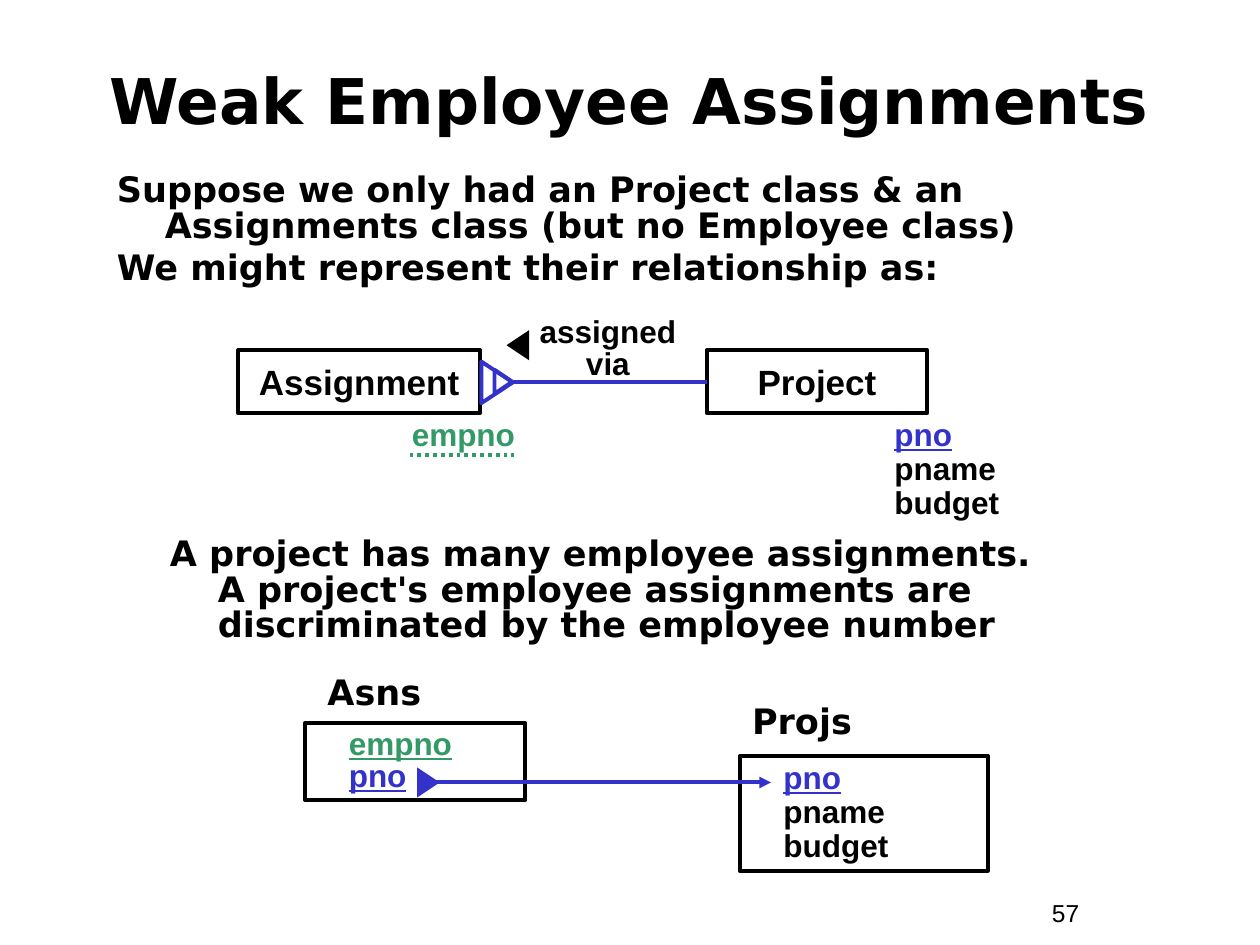
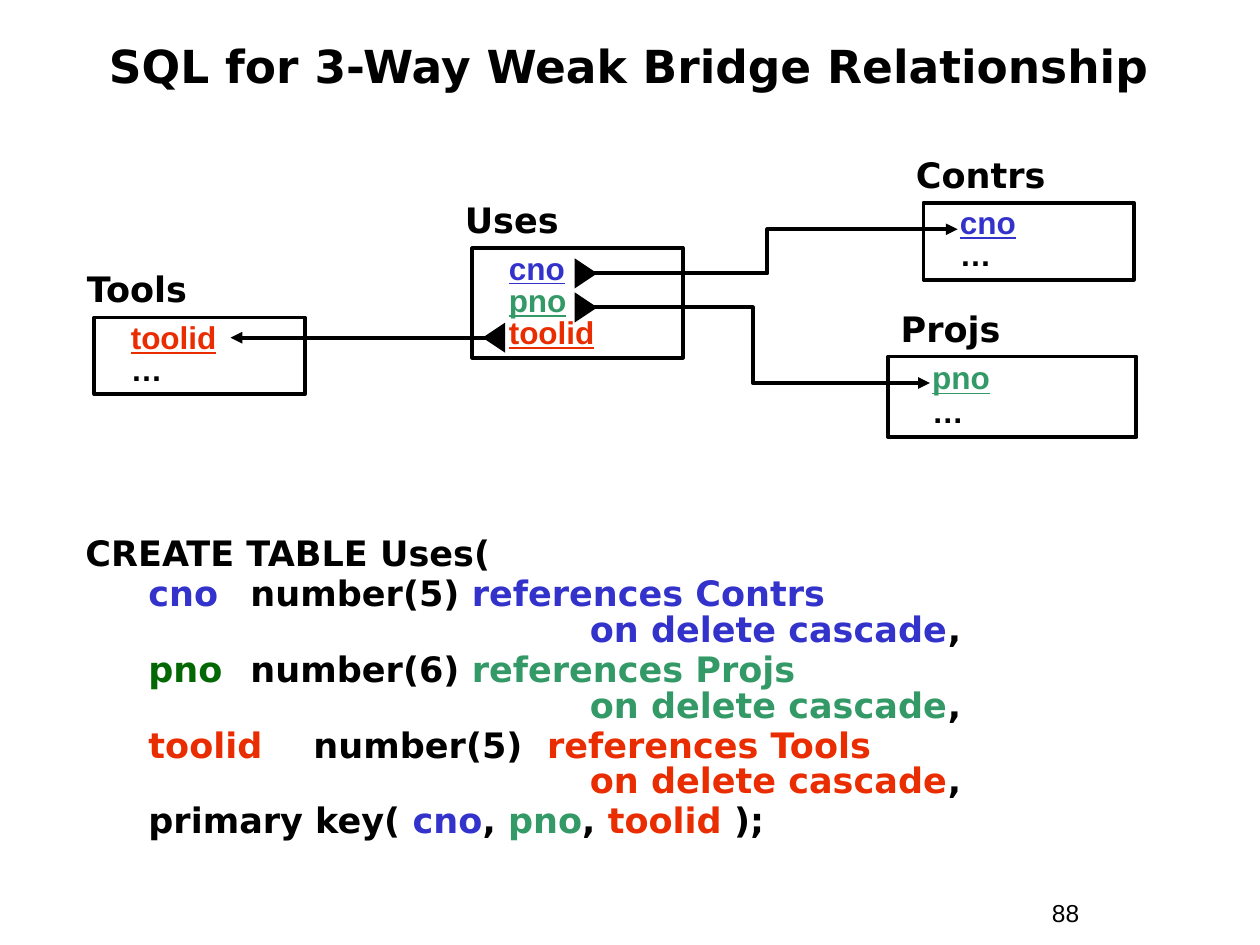
from lxml import etree
from pptx import Presentation
from pptx.dml.color import RGBColor
from pptx.enum import dml, shapes, text
from pptx.oxml.ns import qn
from pptx.util import Inches, Pt


class Theme:
    colors = {"ink": "000000", "blue": "3333CC", "green": "339966",
              "dark": "036703", "red": "EA2D00"}
    line = 2.25
    title = dict(name="DejaVu Sans", size=Pt(36), bold=True)
    small = {**title, "size": Pt(26)}
    note = {**title, "size": Pt(20)}
    node = {**note, "name": "Arial"}
    field = {**node, "size": Pt(18)}
    foot = dict(name="Arial", size=Pt(14), bold=False)


MID = dict(alignment=text.PP_ALIGN.CENTER)
TIGHT, LOOSE = dict(line_spacing=0.85), dict(line_spacing=0.9)
HANG = (0.38, -0.38)
PROJ = [("pno", "blue"), ("pname", "ink"), ("budget", "ink")]

INTRO = ["Suppose we only had an Project class & an "
         "Assignments class (but no Employee class)",
         "We might represent their relationship as:"]
CLAIM = ("A project has many employee assignments.\nA project's employee "
         "assignments are discriminated by the employee number")

# label place, box place, name, fields, field indent, field spacing
WEAK = [
    ((2.5, 5.27, 2.51, 0.44), (2.42, 5.74, 1.75, 0.61), "Asns",
     [("empno", "green"), ("pno", "blue")], 0.25, TIGHT),
    ((5.87, 5.5, 2.15, 0.44), (5.87, 6, 1.97, 0.91), "Projs",
     PROJ, 0.25, LOOSE),
]
BRIDGE = [
    ((7.05, 2.39, 2.15, 0.44), (7.05, 2.83, 1.97, 0.64), "Projs",
     [("pno", "green"), ("…", "ink")], 0.25, LOOSE),
    ((7.17, 1.17, 2.15, 0.44), (7.33, 1.61, 1.67, 0.61), "Contrs",
     [("cno", "blue"), ("…", "ink")], 0.19, TIGHT),
    ((3.59, 1.53, 1.55, 0.44), (3.75, 1.97, 1.67, 0.87), "Uses",
     [("cno", "blue"), ("pno", "green"), ("toolid", "red")], 0.19, TIGHT),
    ((0.59, 2.07, 2.15, 0.44), (0.75, 2.52, 1.67, 0.61), "Tools",
     [("toolid", "red"), ("…", "ink")], 0.19, TIGHT),
]
# start, end, left and top of the marker, its turn
LINKS = [
    ((4.58, 2.17), (7.6, 1.82), (4.53, 2.08), 90),
    ((4.57, 2.44), (7.38, 3.04), (4.53, 2.35), 90),
    ((3.98, 2.68), (1.83, 2.68), (3.8, 2.59), 270),
]
# column, its colour, type, target table, target colour
COLS = [
    ("cno", "blue", "number(5) ", "Contrs", "blue"),
    ("pno", "dark", "number(6) ", "Projs", "green"),
    ("toolid", "red", "number(5)  ", "Tools", "red"),
]
KEY = [("primary key( ", "ink"), ("cno", "blue"), (", ", "ink"),
       ("pno", "green"), (", ", "ink"), ("toolid", "red"), (" );", "ink")]


def rgb(color):
    return RGBColor.from_string(Theme.colors[color])


def apply(item, values):
    for key, value in values.items():
        setattr(item, key, value)


def place(item, at):
    apply(item, dict(zip(("left", "top", "width", "height"),
                         map(Inches, at))))


def write(item, paras, font, form=None, indent=(0, 0), gap=0, under=False,
          tab=None, anchor=text.MSO_ANCHOR.TOP):
    """Fill a shape; each paragraph is a list of (words, colour) runs."""
    frame = item.text_frame
    apply(frame, dict(word_wrap=True, vertical_anchor=anchor,
                      auto_size=text.MSO_AUTO_SIZE.NONE))
    for i, runs in enumerate(paras):
        para = frame.add_paragraph() if i else frame.paragraphs[0]
        left, first = indent[i] if isinstance(indent, list) else indent
        prop = para._p.get_or_add_pPr()
        prop.set("marL", str(Inches(left)))
        prop.set("indent", str(Inches(first)))
        if tab:
            tabs = etree.SubElement(prop, qn("a:tabLst"))
            etree.SubElement(tabs, qn("a:tab"), pos=str(Inches(tab)), algn="l")
        apply(para, {"alignment": text.PP_ALIGN.LEFT,
                     "space_before": Pt(gap if i else 0), **(form or {})})
        for words, color in runs:
            for n, part in enumerate(words.split("\n")):
                if n:
                    para.add_line_break()
                run = para.add_run()
                run.text = part
                apply(run.font, font)
                run.font.underline = under and color != "ink"
                run.font.color.rgb = rgb(color)


def label(page, at, paras, font, **form):
    item = page.shapes.add_textbox(*map(Inches, at))
    write(item, paras, font, **form)


def plain(words, color="ink"):
    return [[(words, color)]]


def shape(host, kind, at, fill=None, line=None):
    item = host.add_shape(kind, *map(Inches, at))
    item.shadow.inherit = False
    if fill:
        item.fill.solid()
        item.fill.fore_color.rgb = rgb(fill)
    else:
        item.fill.background()
    if line:
        item.line.color.rgb = rgb(line)
        item.line.width = Pt(Theme.line)
    else:
        item.line.fill.background()
    return item


def box(page, at):
    return shape(page.shapes, shapes.MSO_SHAPE.RECTANGLE, at, line="ink")


def wedge(host, spot, turn, size=(0.24, 0.18), **paint):
    item = shape(host, shapes.MSO_SHAPE.ISOSCELES_TRIANGLE,
                 (*spot, *size), **paint)
    item.rotation = turn


def link(page, start, end, color, arrow=False):
    kinds = shapes.MSO_CONNECTOR
    kind = kinds.STRAIGHT if start[1] == end[1] else kinds.ELBOW
    item = page.shapes.add_connector(kind, *map(Inches, (*start, *end)))
    item.line.color.rgb = rgb(color)
    item.line.width = Pt(Theme.line)
    prop = item._element.spPr
    etree.SubElement(prop, qn("a:effectLst"))
    if arrow:
        etree.SubElement(prop.find(qn("a:ln")), qn("a:tailEnd"),
                         type="triangle")
    return item


def entity(page, spot, at, name, fields, indent, form):
    """Draw a named table with its underlined key fields."""
    label(page, spot, plain(name), Theme.note)
    write(box(page, at), [[field] for field in fields], Theme.field, form,
          indent=(indent, 0), under=True)


def start(deck, title, font, at, number):
    """Add a slide with its title and number."""
    page = deck.slides.add_slide(deck.slide_layouts[5])
    head = page.shapes.title
    place(head, at)
    write(head, plain(title), font, MID, anchor=text.MSO_ANCHOR.MIDDLE)
    label(page, (8.25, 7.08, 0.92, 0.34), plain(number), Theme.foot)
    return page


def weak(deck):
    page = start(deck, "Weak Employee Assignments", Theme.title,
                 (0.33, 0.33, 9.33, 0.92), "57")
    label(page, (0.83, 1.33, 8.5, 1.08), [[(words, "ink")] for words in INTRO],
          Theme.note, form=TIGHT, indent=HANG, gap=3.7)
    label(page, (1.25, 4.22, 7.58, 0.95), plain(CLAIM), Theme.note,
          form=TIGHT, indent=HANG)

    nodes = {}
    for name, left, width in (("Assignment", 1.89, 1.92),
                              ("Project", 5.61, 1.75)):
        nodes[name] = box(page, (left, 2.78, width, 0.5))
        write(nodes[name], plain(name), Theme.node, MID,
              anchor=text.MSO_ANCHOR.MIDDLE)
    line = link(page, (5.61, 3.03), (4.07, 3.03), "blue")
    line.begin_connect(nodes["Project"], 1)
    label(page, (4.16, 2.47, 1.33, 0.61), plain("assigned via"), Theme.field,
          form={**MID, **TIGHT})
    wedge(page.shapes, (3.99, 2.65), 270, fill="ink")
    mark = page.shapes.add_group_shape().shapes
    wedge(mark, (3.78, 2.91), 90, (0.33, 0.25), line="blue")
    wedge(mark, (3.9, 2.96), 90, (0.19, 0.14), line="blue")

    label(page, (3.17, 3.28, 1.17, 0.37), plain("empno", "green"),
          Theme.field, form=LOOSE)
    dots = link(page, (3.25, 3.61), (4.08, 3.61), "green")
    dots.line.dash_style = dml.MSO_LINE.ROUND_DOT
    label(page, (7, 3.28, 1.67, 0.91), [[field] for field in PROJ],
          Theme.field, form=LOOSE, under=True)

    for item in WEAK:
        entity(page, *item)
    link(page, (3.31, 6.21), (6.12, 6.21), "blue", arrow=True)
    wedge(page.shapes, (3.28, 6.12), 90, fill="blue")


def bridge(deck):
    page = start(deck, "SQL for 3-Way Weak Bridge Relationship", Theme.small,
                 (0.33, 0.1, 9.33, 0.83), "88")
    code = plain("CREATE TABLE Uses(")
    for name, color, kind, table, tint in COLS:
        rule = f"references {table}\n{' ' * 33}on delete cascade"
        code.append([(name + "\t", color), (kind, "ink"),
                     (rule, tint), (",", "ink")])
    code.append(KEY)
    label(page, (0.58, 4.22, 8.67, 2.83), code, Theme.note, form=TIGHT,
          indent=[HANG] + [(0.81, -0.31)] * 4, gap=2.5, tab=1)
    for item in BRIDGE:
        entity(page, *item)
    for begin, end, spot, turn in LINKS:
        link(page, begin, end, "ink", arrow=True)
        wedge(page.shapes, spot, turn, fill="ink")


def main():
    deck = Presentation()
    deck.slide_width, deck.slide_height = Inches(10), Inches(7.5)
    weak(deck)
    bridge(deck)
    deck.save("out.pptx")


if __name__ == "__main__":
    main()
